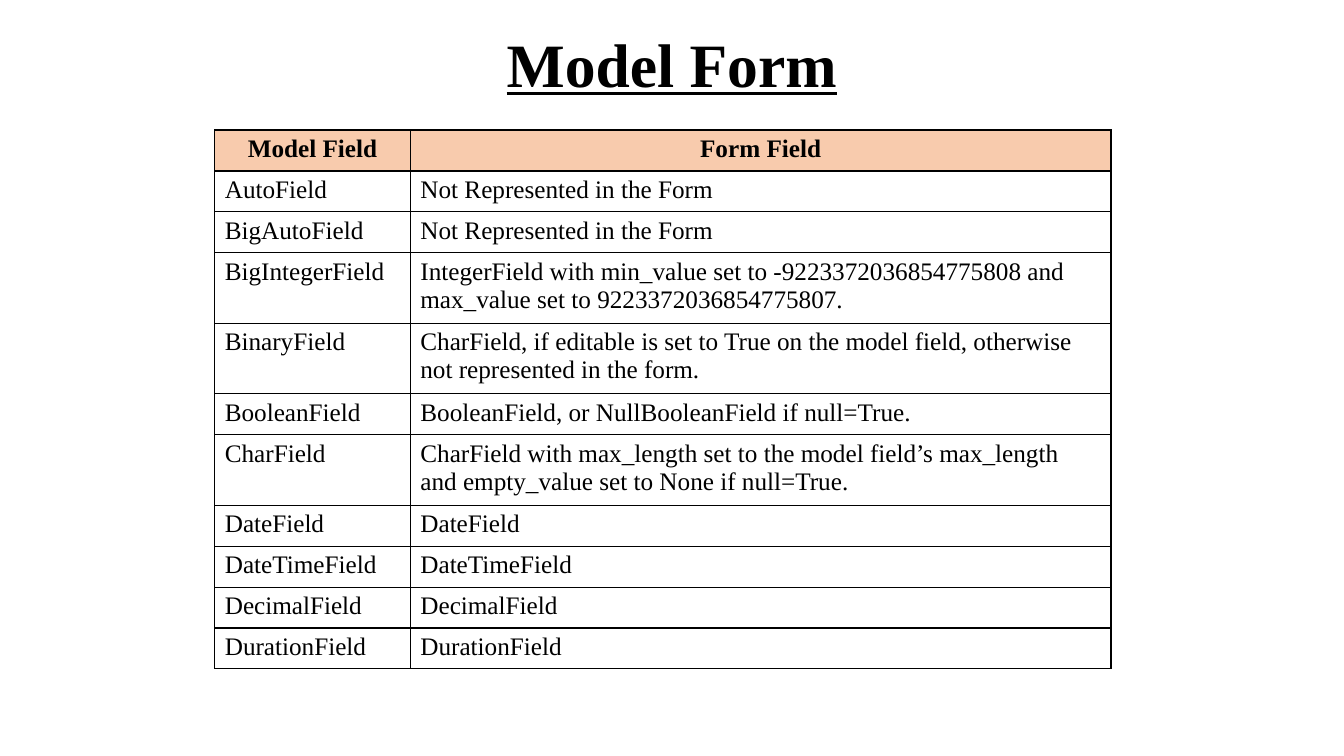
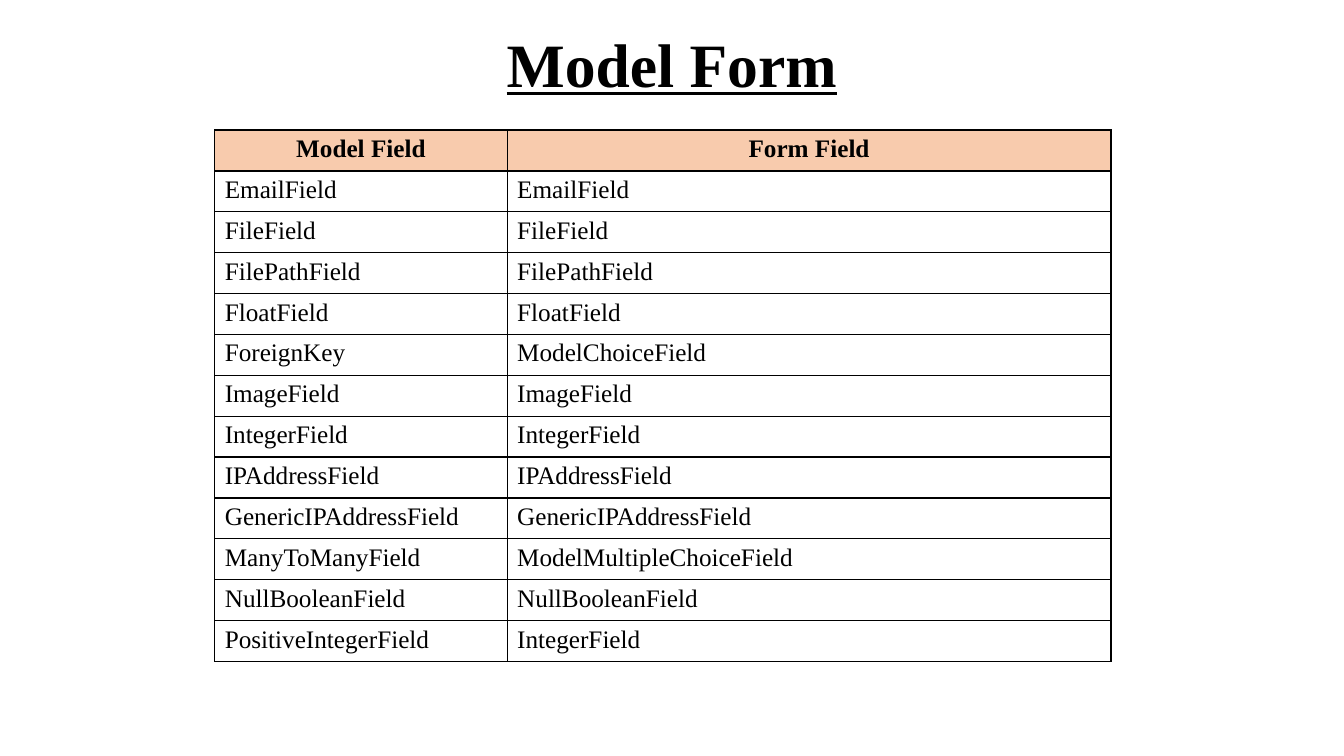
import pptx
import pptx.util
import pptx.dml.color
import pptx.enum.text
import pptx.oxml
import pptx.oxml.ns
from dataclasses import dataclass

Inches, Pt = pptx.util.Inches, pptx.util.Pt
RGB = pptx.dml.color.RGBColor.from_string
PP_ALIGN = pptx.enum.text.PP_ALIGN


@dataclass(frozen=True)
class Theme:
    font: str = "Times New Roman"
    ink: str = "000000"
    header: str = "F8CBAD"
    title_size: int = 44
    cell_size: int = 18
    border: int = 1


theme = Theme()
WIDTH, HEIGHT = Inches(13.33), Inches(7.5)
TITLE_BOX = int(WIDTH * 0.05), Inches(0.04), int(WIDTH * 0.9), Inches(1.25)
TABLE_LEFT, TABLE_TOP, TABLE_WIDTH = Inches(2.13), Inches(1.29), Inches(8.89)
ROW_HEIGHT = Pt(29.2)
HEADINGS = ("Model Field", "Form Field")

# Each slide: width of the first column in inches, then the table's body rows
SLIDES = [
    (1.94, [
        ("AutoField", "Not Represented in the Form"),
        ("BigAutoField", "Not Represented in the Form"),
        ("BigIntegerField", "IntegerField with min_value set to -9223372036854775808 "
                            "and max_value set to 9223372036854775807."),
        ("BinaryField", "CharField, if editable is set to True on the model field, "
                        "otherwise not represented in the form."),
        ("BooleanField", "BooleanField, or NullBooleanField if null=True."),
        ("CharField", "CharField with max_length set to the model field’s max_length "
                      "and empty_value set to None if null=True."),
        ("DateField", "DateField"),
        ("DateTimeField", "DateTimeField"),
        ("DecimalField", "DecimalField"),
        ("DurationField", "DurationField"),
    ]),
    (2.9, [
        ("EmailField", "EmailField"),
        ("FileField", "FileField"),
        ("FilePathField", "FilePathField"),
        ("FloatField", "FloatField"),
        ("ForeignKey", "ModelChoiceField"),
        ("ImageField", "ImageField"),
        ("IntegerField", "IntegerField"),
        ("IPAddressField", "IPAddressField"),
        ("GenericIPAddressField", "GenericIPAddressField"),
        ("ManyToManyField", "ModelMultipleChoiceField"),
        ("NullBooleanField", "NullBooleanField"),
        ("PositiveIntegerField", "IntegerField"),
    ]),
]


def set_text(tf, text, size, bold, align):
    tf.text = text
    p = tf.paragraphs[0]
    p.alignment = align
    p.font.name, p.font.size, p.font.bold = theme.font, Pt(size), bold
    p.font.color.rgb = RGB(theme.ink)
    return p


def add_borders(cell):
    """Rule all four sides; the lines must come before the fill."""
    tc_pr = cell._tc.get_or_add_tcPr()
    for i, side in enumerate("LRTB"):
        tc_pr.insert(i, pptx.oxml.parse_xml(
            f'<a:ln{side} {pptx.oxml.ns.nsdecls("a")} w="{Pt(theme.border)}">'
            f'<a:solidFill><a:srgbClr val="{theme.ink}"/></a:solidFill></a:ln{side}>'))


prs = pptx.Presentation()
prs.slide_width, prs.slide_height = WIDTH, HEIGHT

for first_width, fields in SLIDES:
    s = prs.slides.add_slide(prs.slide_layouts[6])

    tf = s.shapes.add_textbox(*TITLE_BOX).text_frame
    tf.word_wrap = True
    tf.vertical_anchor = pptx.enum.text.MSO_ANCHOR.MIDDLE
    p = set_text(tf, "Model Form", theme.title_size, True, PP_ALIGN.CENTER)
    p.font.underline = True
    p.line_spacing = 0.9

    rows = [HEADINGS] + fields
    table = s.shapes.add_table(len(rows), len(HEADINGS), TABLE_LEFT, TABLE_TOP,
                               TABLE_WIDTH, ROW_HEIGHT * len(rows)).table
    table.horz_banding = False
    table.columns[0].width = Inches(first_width)
    table.columns[1].width = TABLE_WIDTH - Inches(first_width)

    for r, texts in enumerate(rows):
        table.rows[r].height = ROW_HEIGHT
        is_header = r == 0
        for c, text in enumerate(texts):
            cell = table.cell(r, c)
            set_text(cell.text_frame, text, theme.cell_size, is_header,
                     PP_ALIGN.CENTER if is_header else PP_ALIGN.LEFT)
            if is_header:
                cell.fill.solid()
                cell.fill.fore_color.rgb = RGB(theme.header)
            else:
                cell.fill.background()
            add_borders(cell)

prs.save("out.pptx")
